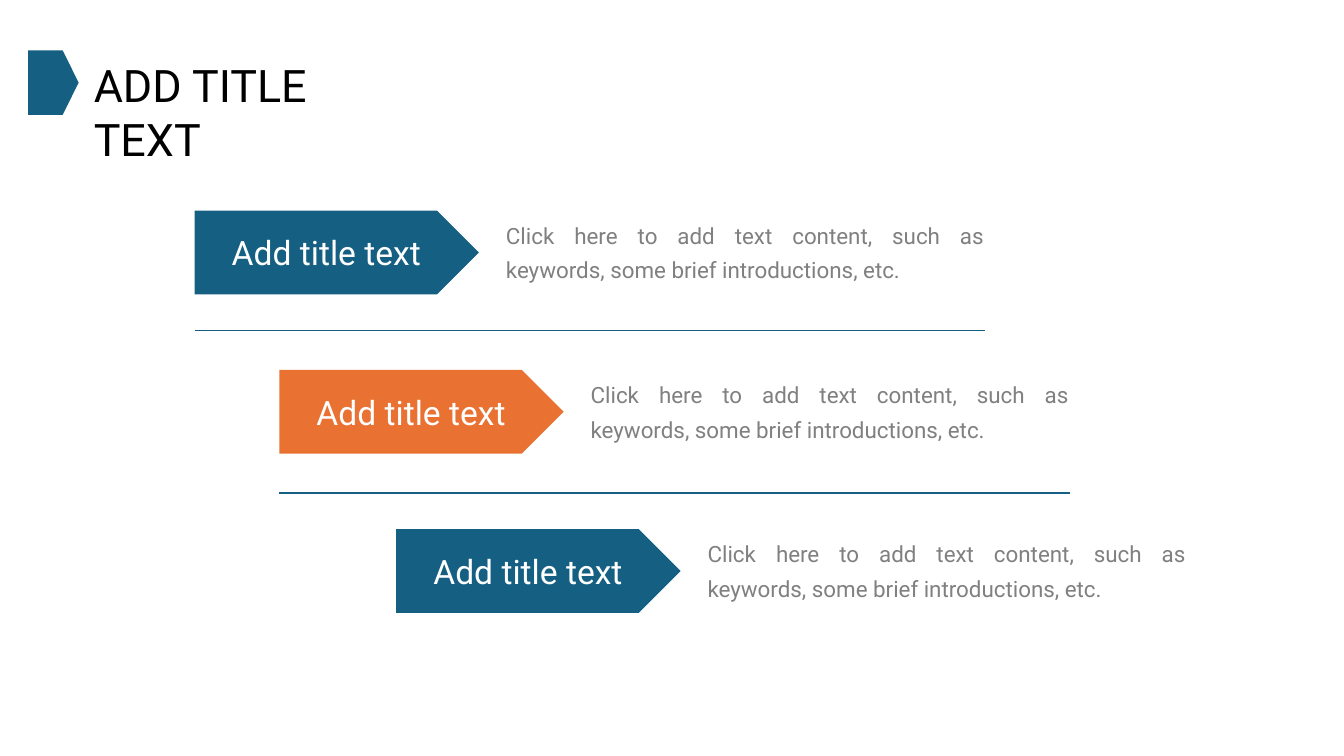
from lxml import etree
from pptx import Presentation
from pptx.dml.color import RGBColor
from pptx.enum.shapes import MSO_CONNECTOR, MSO_SHAPE
from pptx.enum.text import MSO_ANCHOR, MSO_AUTO_SIZE, PP_ALIGN
from pptx.oxml.ns import qn
from pptx.util import Inches, Pt

PENTAGON = MSO_SHAPE.PENTAGON
STRAIGHT = MSO_CONNECTOR.STRAIGHT
TOP, MIDDLE = MSO_ANCHOR.TOP, MSO_ANCHOR.MIDDLE
GROW = MSO_AUTO_SIZE.SHAPE_TO_FIT_TEXT
LEFT, CENTER, JUSTIFY = PP_ALIGN.LEFT, PP_ALIGN.CENTER, PP_ALIGN.JUSTIFY

BLUE = RGBColor(0x15, 0x60, 0x82)
ORANGE = RGBColor(0xE9, 0x71, 0x32)
GRAY = RGBColor(0x80, 0x80, 0x80)
BLACK = RGBColor(0, 0, 0)
WHITE = RGBColor(0xFF, 0xFF, 0xFF)

LABEL = "Add title text"
DETAIL = ("Click here to add text content, such as keywords, "
          "some brief introductions, etc.")
STEPS = [(1.93, BLUE), (2.77, ORANGE), (3.93, BLUE)]
FIRST_TOP, STEP_PITCH = 2.09, 1.58
DIVIDERS = [(1.93, 3.28), (2.77, 4.89)]
DIVIDER_WIDTH = 7.84


class StepPage:
    font_name = "Roboto"

    def __init__(self, deck):
        self.page = deck.slides.add_slide(deck.slide_layouts[5])

    def set_text(self, shape, text, size, color, frame_format, para_format):
        frame = shape.text_frame
        frame.text = text
        para = frame.paragraphs[0]
        font_format = {"name": self.font_name, "size": Pt(size)}
        for target, values in ((frame, frame_format), (para, para_format),
                               (para.font, font_format)):
            for name, value in values.items():
                setattr(target, name, value)
        para.font.color.rgb = color

    def title(self, text, left, top, width, height):
        title = self.page.shapes.title
        place = {"left": left, "top": top, "width": width, "height": height}
        for name, value in place.items():
            setattr(title, name, Inches(value))
        self.set_text(title, text, 32, BLACK,
                      {"word_wrap": True, "vertical_anchor": TOP,
                       "auto_size": GROW},
                      {"alignment": LEFT})

    def arrow(self, shapes, left, top, width, height, color, point=0.5):
        """Add a pentagon arrow; point is the tip's length relative to height."""
        arrow = shapes.add_shape(PENTAGON, Inches(left), Inches(top),
                                 Inches(width), Inches(height))
        arrow.adjustments[0] = point
        arrow.shadow.inherit = False
        arrow.fill.solid()
        arrow.fill.fore_color.rgb = color
        arrow.line.fill.background()
        return arrow

    def step(self, left, top, color):
        """Add a grouped arrow label with its description."""
        shapes = self.page.shapes.add_group_shape().shapes
        arrow = self.arrow(shapes, left, top, 2.82, 0.83, color)
        self.set_text(arrow, LABEL, 24, WHITE,
                      {"word_wrap": True, "vertical_anchor": MIDDLE},
                      {"alignment": CENTER})
        box = shapes.add_textbox(Inches(left + 2.99), Inches(top - 0.02),
                                 Inches(4.94), Inches(0.77))
        self.set_text(box, DETAIL, 16, GRAY,
                      {"word_wrap": True, "auto_size": GROW},
                      {"alignment": JUSTIFY, "line_spacing": 1.3})

    def divider(self, left, top):
        line = self.page.shapes.add_connector(
            STRAIGHT, Inches(left), Inches(top),
            Inches(left + DIVIDER_WIDTH), Inches(top))
        line.line.color.rgb = BLUE
        line.line.width = Pt(1)
        etree.SubElement(line._element.spPr, qn("a:effectLst"))


def main():
    deck = Presentation()
    deck.slide_width, deck.slide_height = Inches(13.33), Inches(7.5)
    page = StepPage(deck)
    page.title("ADD TITLE TEXT", 0.83, 0.52, 3.07, 0.64)
    page.arrow(page.page.shapes, 0.28, 0.5, 0.5, 0.64, BLUE, point=0.315)
    for index, (left, color) in enumerate(STEPS):
        page.step(left, FIRST_TOP + index * STEP_PITCH, color)
    for left, top in DIVIDERS:
        page.divider(left, top)
    deck.save("out.pptx")


if __name__ == "__main__":
    main()
